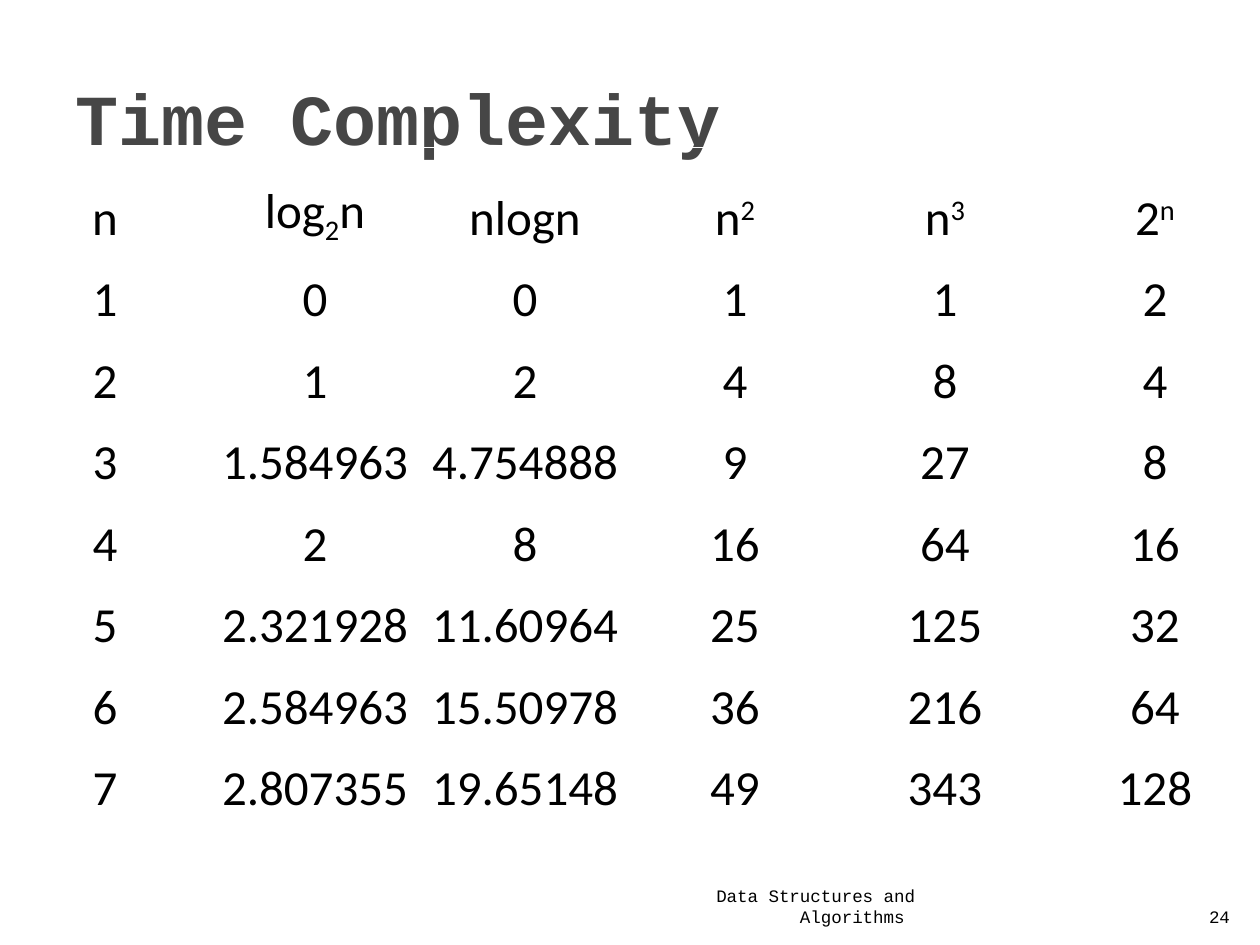
import math
from dataclasses import dataclass

import pptx
import pptx.dml.color
import pptx.enum.text
import pptx.util

Pt = pptx.util.Pt
RGB = pptx.dml.color.RGBColor
ALIGN = pptx.enum.text.PP_ALIGN
ANCHOR = pptx.enum.text.MSO_ANCHOR


@dataclass(frozen=True)
class Theme:
    ink: RGB = RGB(0x00, 0x00, 0x00)
    heading: RGB = RGB(0x46, 0x46, 0x46)
    mono: str = "Courier New"
    body: str = "Calibri"
    title_size: int = 41
    table_size: int = 28
    footer_size: int = 10


THEME = Theme()
TITLE = {"name": THEME.mono, "size": Pt(THEME.title_size), "bold": True}
TABLE = {"name": THEME.body, "size": Pt(THEME.table_size)}
FOOTER = {"name": THEME.mono, "size": Pt(THEME.footer_size)}

SUB, SUPER = -25000, 30000
HEADERS = [
    [("n", 0)],
    [("log", 0), ("2", SUB), ("n", 0)],
    [("nlogn", 0)],
    [("n", 0), ("2", SUPER)],
    [("n", 0), ("3", SUPER)],
    [("2", 0), ("n", SUPER)],
]
MAX_N = 7
HEADER_HEIGHT, ROW_HEIGHT = 57.8, 46.57


def add_run(p, text, fmt, color, baseline=0):
    r = p.add_run()
    r.text = text
    for name, value in fmt.items():
        setattr(r.font, name, value)
    r.font.color.rgb = color
    if baseline:
        r.font._element.set("baseline", str(baseline))


def add_text(s, box, text, fmt, color, align, anchor):
    tf = s.shapes.add_textbox(*map(Pt, box)).text_frame
    tf.word_wrap = True
    tf.vertical_anchor = anchor
    p = tf.paragraphs[0]
    p.alignment = align
    add_run(p, text, fmt, color)


def fill_cell(cell, runs):
    cell.fill.background()
    cell.vertical_anchor = ANCHOR.BOTTOM
    for side in ("left", "right", "top", "bottom"):
        setattr(cell, f"margin_{side}", 0)
    p = cell.text_frame.paragraphs[0]
    p.alignment = ALIGN.CENTER
    for text, baseline in runs:
        add_run(p, text, TABLE, THEME.ink, baseline)


def growth_row(n):
    values = (n, math.log2(n), n * math.log2(n), n**2, n**3, 2**n)
    return [[(f"{value:.7g}", 0)] for value in values]


def add_growth_table(s):
    rows = [HEADERS] + [growth_row(n) for n in range(1, MAX_N + 1)]
    height = HEADER_HEIGHT + MAX_N * ROW_HEIGHT
    table = s.shapes.add_table(
        len(rows), len(HEADERS), Pt(0), Pt(84.24), Pt(720), Pt(height)
    ).table
    table.first_row = table.horz_banding = False
    for i, row in enumerate(rows):
        table.rows[i].height = Pt(ROW_HEIGHT if i else HEADER_HEIGHT)
        for j, runs in enumerate(row):
            fill_cell(table.cell(i, j), runs)


def main():
    prs = pptx.Presentation()
    prs.slide_width, prs.slide_height = Pt(720), Pt(540)
    s = prs.slides.add_slide(prs.slide_layouts[6])
    add_text(s, (36, 21.6, 648, 90), "Time Complexity",
             TITLE, THEME.heading, ALIGN.LEFT, ANCHOR.MIDDLE)
    for left, width, text in (
        (344.88, 185.04, "Data Structures and Algorithms "),
        (681.12, 28.8, "24"),
    ):
        add_text(s, (left, 504.72, width, 28.8), text,
                 FOOTER, THEME.ink, ALIGN.RIGHT, ANCHOR.BOTTOM)
    add_growth_table(s)
    prs.save("out.pptx")


if __name__ == "__main__":
    main()
